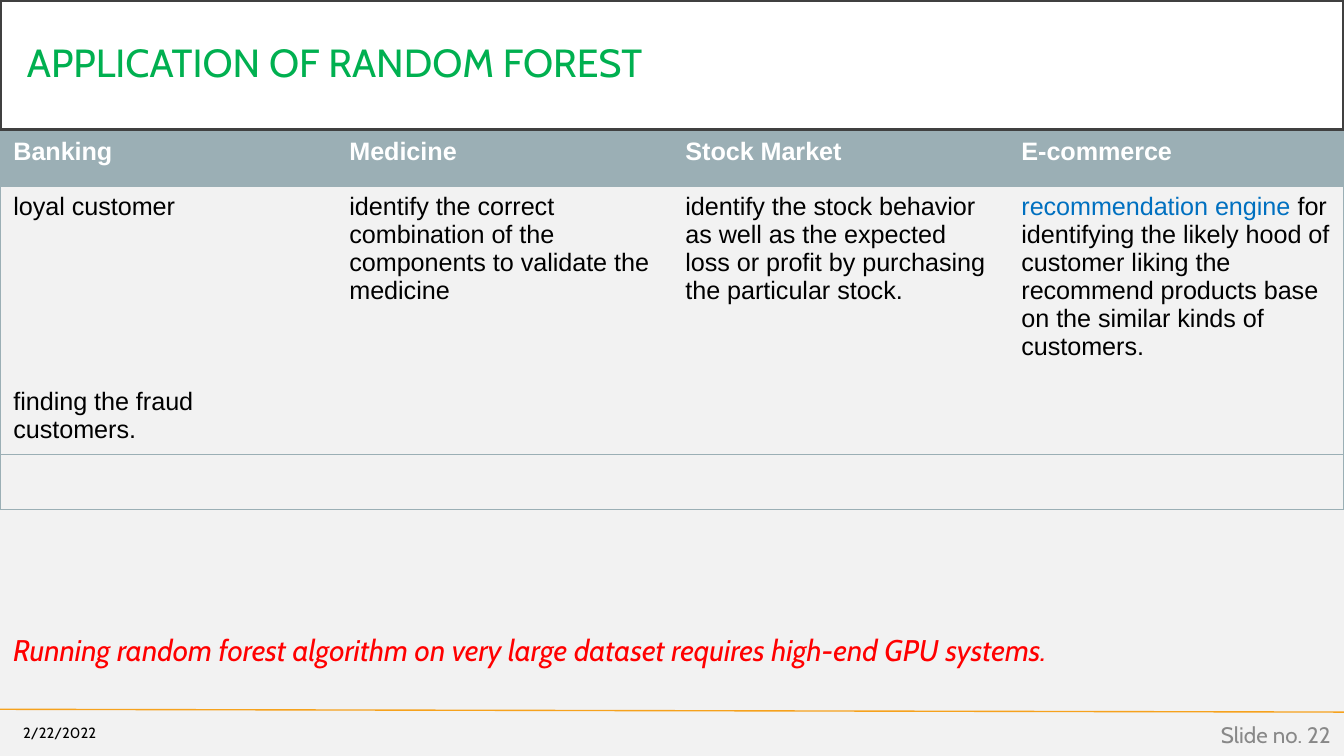
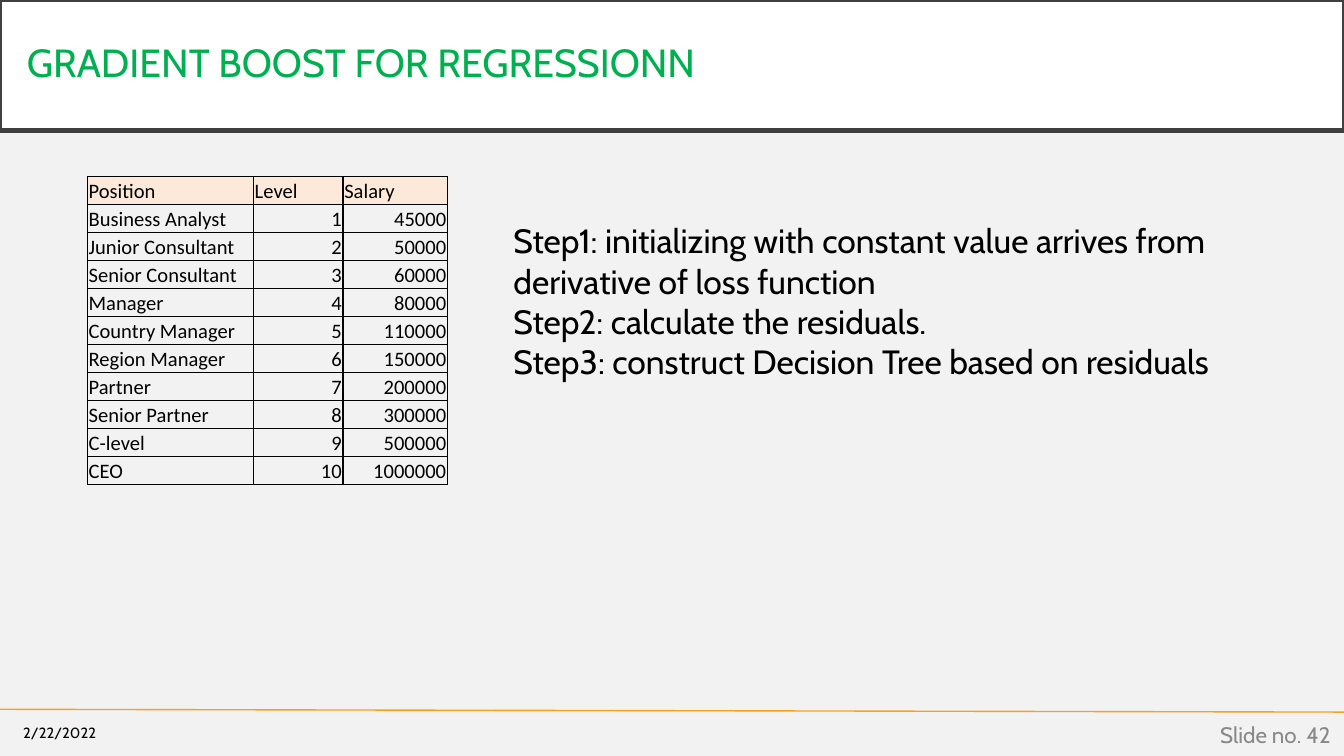
from lxml import etree
from pptx import Presentation
from pptx.dml.color import RGBColor
from pptx.enum.shapes import MSO_CONNECTOR
from pptx.enum.text import MSO_ANCHOR, MSO_AUTO_SIZE, PP_ALIGN
from pptx.oxml.ns import qn
from pptx.util import Pt

STRAIGHT = MSO_CONNECTOR.STRAIGHT
TOP, MIDDLE, BOTTOM = MSO_ANCHOR.TOP, MSO_ANCHOR.MIDDLE, MSO_ANCHOR.BOTTOM
LEFT, RIGHT = PP_ALIGN.LEFT, PP_ALIGN.RIGHT
NO_FIT = MSO_AUTO_SIZE.NONE

WIDTH, HEIGHT = 720, 405
TITLE_ONLY = 5
INSETS = (7.2, 3.6, 7.2, 3.6)
BLACK, WHITE, PAPER, CHARCOAL = "000000", "FFFFFF", "F2F2F2", "404040"
GREEN, ORANGE, GREY, RED = "00B050", "F6A21D", "888888", "FF0000"
SLATE, PEACH, BLUE = "9BAFB5", "FDE9D9", "0070C0"


def color(hex_string):
    return RGBColor.from_string(hex_string)


class Deck:
    """Holds the shared style and the current slide."""
    font = "Cabin"
    date = "2/22/2022"

    def __init__(self):
        self.prs = Presentation()
        self.prs.slide_width, self.prs.slide_height = Pt(WIDTH), Pt(HEIGHT)
        self.fill(self.prs.slide_master.background, PAPER)

    def fill(self, target, hex_string):
        target.fill.solid()
        target.fill.fore_color.rgb = color(hex_string)

    def set_text(self, tf, paragraphs, size, hex_string=BLACK, font=None,
                 align=LEFT, bold=False, italic=False):
        """Each paragraph is a string or a list of (text, colour) runs."""
        for i, runs in enumerate(paragraphs):
            p = tf.add_paragraph() if i else tf.paragraphs[0]
            p.alignment = align
            if isinstance(runs, str):
                runs = [(runs, hex_string)]
            for words, run_color in runs:
                r = p.add_run()
                r.text = words
                r.font.name, r.font.size = font or self.font, Pt(size)
                r.font.bold, r.font.italic = bold, italic
                r.font.color.rgb = color(run_color)

    def margins(self, target, insets):
        (target.margin_left, target.margin_top,
         target.margin_right, target.margin_bottom) = map(Pt, insets)

    def slide(self, title, number):
        layout = self.prs.slide_layouts[TITLE_ONLY]
        self.s = self.prs.slides.add_slide(layout)
        self.rule(0, 380, WIDTH, 381.5)
        self.title(title)
        self.text([self.date], 0, 382.5, 58.5, 19.5, 7.9,
                  anchor=MIDDLE, align=RIGHT)
        self.text([f"Slide no. {number}"], 558, 383, 162, 21.5, 12,
                  anchor=MIDDLE, hex_string=GREY, align=RIGHT)

    def title(self, words):
        sp = self.s.shapes.title
        sp.left, sp.top, sp.width, sp.height = map(Pt, (0, 0, WIDTH, 70))
        self.fill(sp, WHITE)
        sp.line.color.rgb, sp.line.width = color(CHARCOAL), Pt(2.5)
        tf = sp.text_frame
        tf.auto_size, tf.vertical_anchor = NO_FIT, MIDDLE
        self.margins(tf, [14.4] * 4)
        self.set_text(tf, [words], 21, GREEN)
        tf.paragraphs[0].line_spacing = 0.9

    def rule(self, x1, y1, x2, y2):
        line = self.s.shapes.add_connector(STRAIGHT, *map(Pt, (x1, y1, x2, y2)))
        line.line.color.rgb, line.line.width = color(ORANGE), Pt(0.75)
        etree.SubElement(line._element.spPr, qn("a:effectLst"))

    def text(self, paragraphs, x, y, w, h, size, anchor=TOP, **style):
        tf = self.s.shapes.add_textbox(*map(Pt, (x, y, w, h))).text_frame
        tf.word_wrap, tf.vertical_anchor = True, anchor
        self.margins(tf, INSETS)
        self.set_text(tf, paragraphs, size, **style)

    def table(self, x, y, widths, row_height, rows):
        shape = self.s.shapes.add_table(
            len(rows), len(widths), Pt(x), Pt(y),
            Pt(sum(widths)), Pt(row_height * len(rows)))
        table = shape.table
        table.first_row = table.horz_banding = False
        for column, width in zip(table.columns, widths):
            column.width = Pt(width)
        for row in table.rows:
            row.height = Pt(row_height)
        return table

    def cell(self, cell, content, size, anchor=TOP, insets=INSETS,
             background=None, **style):
        self.margins(cell, insets)
        cell.vertical_anchor = anchor
        if background:
            self.fill(cell, background)
        else:
            cell.fill.background()
        if content:
            self.set_text(cell.text_frame, [content], size, **style)

    def borders(self, table, hex_string, row_edges, column_edges):
        """Draw the grid lines whose edge numbers are given, hide the rest."""
        for r, row in enumerate(table.rows):
            for c, cell in enumerate(row.cells):
                sides = {"L": c in column_edges, "R": c + 1 in column_edges,
                         "T": r in row_edges, "B": r + 1 in row_edges}
                tcPr = cell._tc.get_or_add_tcPr()
                for i, (side, shown) in enumerate(sides.items()):
                    ln = etree.Element(qn(f"a:ln{side}"), w=str(Pt(0.75)))
                    if shown:
                        solid = etree.SubElement(ln, qn("a:solidFill"))
                        etree.SubElement(solid, qn("a:srgbClr"), val=hex_string)
                    else:
                        etree.SubElement(ln, qn("a:noFill"))
                    tcPr.insert(i, ln)


def applications(deck):
    deck.slide("APPLICATION OF RANDOM FOREST", 22)

    # Uses by industry
    rows = [
        ["Banking", "Medicine", "Stock Market", "E-commerce"],
        ["loyal customer",
         "identify the correct combination of the components to validate "
         "the medicine",
         "identify the stock behavior as well as the expected loss or profit "
         "by purchasing the particular stock.",
         [("recommendation engine ", BLUE),
          ("for identifying the likely hood of customer liking the recommend "
           "products base on the similar kinds of customers.", BLACK)]],
        ["finding the fraud customers.", "", "", ""],
        [""] * 4,
    ]
    table = deck.table(0, 70.5, [WIDTH / 4] * 4, 29.2, rows)
    for r, row in enumerate(rows):
        header = r == 0
        for c, content in enumerate(row):
            deck.cell(table.cell(r, c), content, 13.5, font="Arial",
                      bold=header, hex_string=WHITE if header else BLACK,
                      background=SLATE if header else None)
    deck.borders(table, SLATE, row_edges=(0, 1, 3, 4), column_edges=(0, 4))

    # Hardware remark
    deck.text(["Running random forest algorithm on very large dataset requires "
               "high-end GPU systems."],
              0, 335, 700.5, 26.5, 16, hex_string=RED, italic=True)


def gradient_boost(deck):
    deck.slide("GRADIENT BOOST FOR REGRESSIONN", 42)

    # Salary by position
    salaries = [
        ("Business Analyst", 45000), ("Junior Consultant", 50000),
        ("Senior Consultant", 60000), ("Manager", 80000),
        ("Country Manager", 110000), ("Region Manager", 150000),
        ("Partner", 200000), ("Senior Partner", 300000),
        ("C-level", 500000), ("CEO", 1000000),
    ]
    rows = [("Position", "Level", "Salary")]
    rows += [(position, str(level), str(salary))
             for level, (position, salary) in enumerate(salaries, 1)]
    table = deck.table(46.8, 94.5, [89, 48, 56], 15, rows)
    for r, row in enumerate(rows):
        for c, content in enumerate(row):
            deck.cell(table.cell(r, c), content, 11, BOTTOM,
                      (0.7, 0.7, 0.7, 0), PEACH if r == 0 else None,
                      font="Calibri", align=RIGHT if r and c else LEFT)
    deck.borders(table, BLACK, range(len(rows) + 1), range(4))

    # Steps
    deck.text(["Step1: initializing with constant value arrives from "
               "derivative of loss function",
               "Step2: calculate the residuals.",
               "Step3: construct Decision Tree based on residuals"],
              268, 114.5, 441.5, 95, 18)


def main():
    deck = Deck()
    applications(deck)
    gradient_boost(deck)
    deck.prs.save("out.pptx")


if __name__ == "__main__":
    main()
